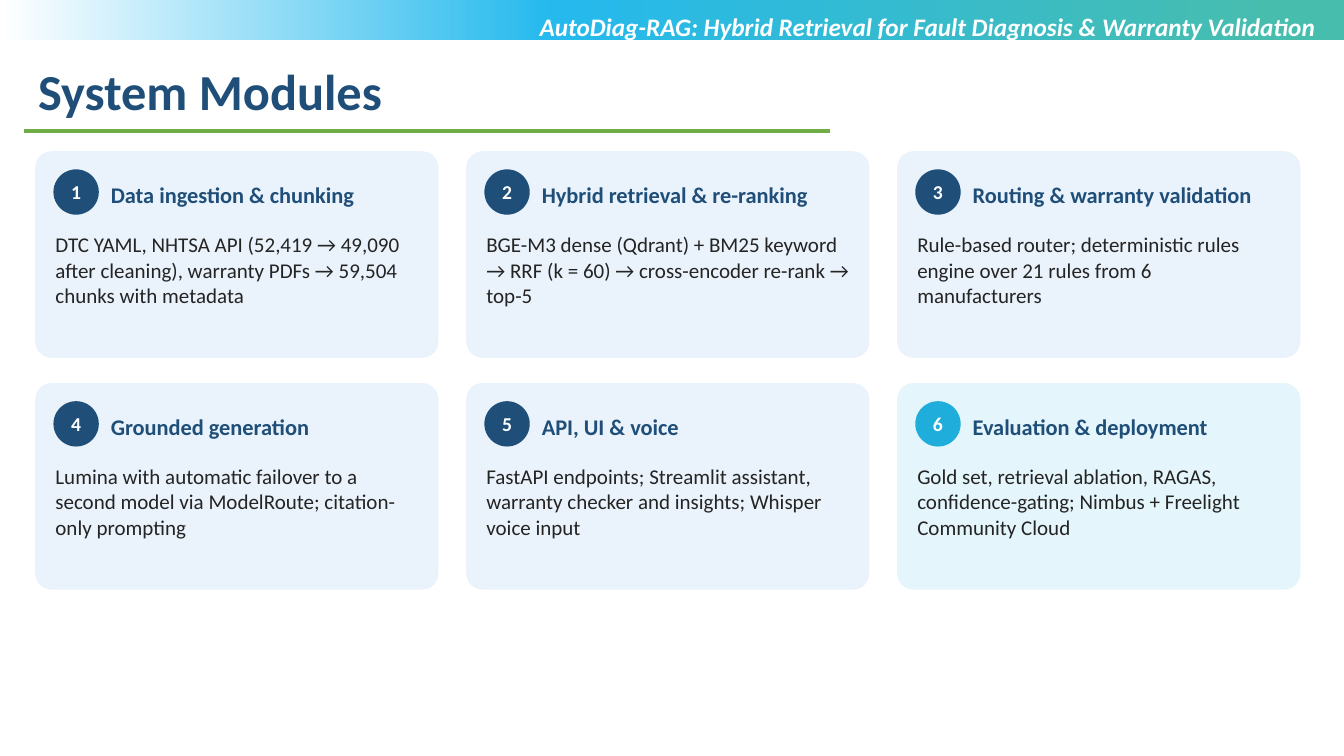
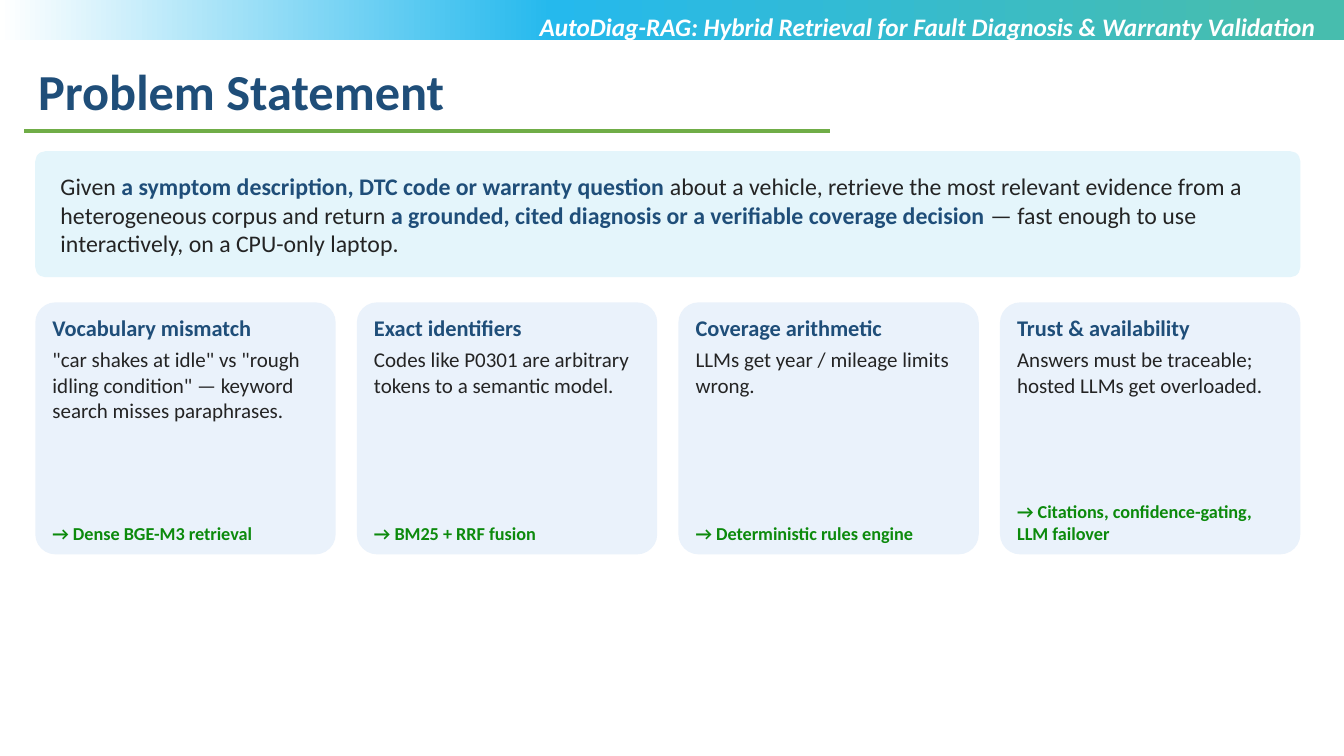
from lxml.etree import SubElement
from pptx import Presentation
from pptx.dml.color import RGBColor
from pptx.enum.shapes import MSO_CONNECTOR as LINE, MSO_SHAPE as SHAPE
from pptx.enum.text import MSO_ANCHOR as ANCHOR, PP_ALIGN as ALIGN
from pptx.oxml.ns import qn
from pptx.util import Inches, Pt

# Slide grid and the area that holds the cards
COLS, ROWS = 133.33, 75
LEFT, WIDTH, TOP = 3.5, 125.5, 15

# Shared colours
NAVY, INK, WHITE = "1F4E79", "242424", "FFFFFF"
PALE, ICE, CYAN = "EAF2FB", "E4F5FB", "1FAEDB"
RULE, GREEN = "70AD47", "0C8A0C"
BAND = [(5, "47BDAE"), (59, "25B9ED"), (100, WHITE)]
FONT = "Calibri"
TOPIC = "AutoDiag-RAG: Hybrid Retrieval for Fault Diagnosis & Warranty Validation"

MODULES = [
    ("Data ingestion & chunking",
     "DTC YAML, NHTSA API (52,419 → 49,090 after cleaning), "
     "warranty PDFs → 59,504 chunks with metadata"),
    ("Hybrid retrieval & re-ranking",
     "BGE-M3 dense (Qdrant) + BM25 keyword → RRF (k = 60) "
     "→ cross-encoder re-rank → top-5"),
    ("Routing & warranty validation",
     "Rule-based router; deterministic rules engine over 21 rules "
     "from 6 manufacturers"),
    ("Grounded generation",
     "Lumina with automatic failover to a second model via ModelRoute; "
     "citation-only prompting"),
    ("API, UI & voice",
     "FastAPI endpoints; Streamlit assistant, warranty checker and "
     "insights; Whisper voice input"),
    ("Evaluation & deployment",
     "Gold set, retrieval ablation, RAGAS, confidence-gating; "
     "Nimbus + Freelight Community Cloud"),
]

# Asterisks enclose the stressed phrases
TASK = ("Given *a symptom description, DTC code or warranty question* about a "
        "vehicle, retrieve the most relevant evidence from a heterogeneous "
        "corpus and return *a grounded, cited diagnosis or a verifiable "
        "coverage decision* — fast enough to use interactively, on a "
        "CPU-only laptop.")

ISSUES = [
    ("Vocabulary mismatch",
     '"car shakes at idle" vs "rough idling condition" — keyword search '
     "misses paraphrases.",
     "→ Dense BGE-M3 retrieval"),
    ("Exact identifiers",
     "Codes like P0301 are arbitrary tokens to a semantic model.",
     "→ BM25 + RRF fusion"),
    ("Coverage arithmetic",
     "LLMs get year / mileage limits wrong.",
     "→ Deterministic rules engine"),
    ("Trust & availability",
     "Answers must be traceable; hosted LLMs get overloaded.",
     "→ Citations, confidence-gating, LLM failover"),
]


def rgb(code):
    return RGBColor.from_string(code)


def spread(count, gap):
    """Return the left edges and the width of equal columns."""
    wide = (WIDTH - gap * (count - 1)) / count
    return [LEFT + i * (wide + gap) for i in range(count)], wide


class Deck:
    def __init__(self):
        self.file = Presentation()
        self.file.slide_width = Inches(13.33)
        self.file.slide_height = Inches(7.5)
        self.slide = None

    def x(self, cols):
        return round(self.file.slide_width * cols / COLS)

    def y(self, rows):
        return round(self.file.slide_height * rows / ROWS)

    def box(self, left, top, wide, high):
        return self.x(left), self.y(top), self.x(wide), self.y(high)

    def page(self, title):
        """Start a slide with its band, title, rule and topic."""
        self.slide = self.file.slides.add_slide(self.file.slide_layouts[6])
        self.band()
        self.text((2.8, 5.5, 116.2, 7.1), [(title, 36, NAVY, True)],
                  pad=True, after=0)
        self.rule(2.4, 82.3, 13)
        topic = self.text((31, 0.6, 100.5, 7.1), [(TOPIC, 18, WHITE, True)],
                          pad=True, align=ALIGN.RIGHT, after=0)
        topic.text_frame.paragraphs[0].font.italic = True

    def band(self):
        band = self.shape(SHAPE.RECTANGLE, (0, 0, COLS, 4), WHITE)
        band.fill.gradient()
        band.fill.gradient_angle = 180
        stops = band._element.spPr.find(qn("a:gradFill")).find(qn("a:gsLst"))
        stops.clear()
        for share, code in BAND:
            stop = SubElement(stops, qn("a:gs"), pos=str(share * 1000))
            SubElement(stop, qn("a:srgbClr"), val=code)

    def rule(self, start, end, row):
        line = self.slide.shapes.add_connector(
            LINE.STRAIGHT, self.x(start), self.y(row), self.x(end), self.y(row))
        line.line.color.rgb = rgb(RULE)
        line.line.width = Pt(2.25)
        SubElement(line._element.spPr, qn("a:effectLst"))

    def shape(self, kind, area, fill):
        shape = self.slide.shapes.add_shape(kind, *self.box(*area))
        shape.shadow.inherit = False
        shape.fill.solid()
        shape.fill.fore_color.rgb = rgb(fill)
        shape.line.fill.background()
        return shape

    def card(self, area, fill=PALE):
        self.shape(SHAPE.ROUNDED_RECTANGLE, area, fill).adjustments[0] = 0.08

    def badge(self, left, top, label, fill):
        disc = self.shape(SHAPE.OVAL, (left, top, 4.5, 4.5), fill)
        self.put(disc.text_frame, [(label, 14, WHITE, True)],
                 ANCHOR.MIDDLE, ALIGN.CENTER, after=0)

    def text(self, area, lines, anchor=ANCHOR.TOP, align=ALIGN.LEFT,
             pad=False, after=4):
        box = self.slide.shapes.add_textbox(*self.box(*area))
        self.put(box.text_frame, lines, anchor, align, pad, after)
        return box

    def put(self, frame, lines, anchor, align, pad=False, after=4):
        """Fill a frame with lines of (text, size, colour, bold)."""
        frame.word_wrap = True
        frame.vertical_anchor = anchor
        if not pad:
            frame.margin_left = frame.margin_right = 0
            frame.margin_top = frame.margin_bottom = 0
        for i, (words, size, code, bold) in enumerate(lines):
            para = frame.paragraphs[0] if i == 0 else frame.add_paragraph()
            para.alignment = align
            para.space_after = Pt(after)
            font = para.font
            font.name, font.size, font.bold = FONT, Pt(size), bold
            font.color.rgb = rgb(code)
            for j, part in enumerate(words.split("*")):
                run = para.add_run()
                run.text = part
                if j % 2:
                    run.font.bold = True
                    run.font.color.rgb = rgb(NAVY)


def modules_page(deck):
    deck.page("System Modules")
    edges, wide = spread(3, 2.75)
    for i, (head, body) in enumerate(MODULES):
        row, col = divmod(i, 3)
        left, top = edges[col], TOP + 23 * row
        last = i == len(MODULES) - 1
        deck.card((left, top, wide, 20.5), ICE if last else PALE)
        deck.badge(left + 1.8, top + 1.8, str(i + 1), CYAN if last else NAVY)
        deck.text((left + 7.5, top + 1.8, 31, 5), [(head, 16, NAVY, True)],
                  ANCHOR.MIDDLE)
        deck.text((left + 2, top + 8, wide - 4, 11.5),
                  [(body, 15, INK, False)])


def problem_page(deck):
    deck.page("Problem Statement")
    # Task
    deck.card((LEFT, TOP, WIDTH, 12.5), ICE)
    deck.text((LEFT + 2.5, TOP + 0.8, 121, 11), [(TASK, 17, INK, False)],
              ANCHOR.MIDDLE)
    # Issues, each with its answer
    edges, wide = spread(4, 2.1)
    top = TOP * 2
    for edge, (head, body, fix) in zip(edges, ISSUES):
        deck.card((edge, top, wide, 25))
        left, span = edge + 1.7, wide - 3.3
        deck.text((left, top + 1.2, span, 19),
                  [(head, 16, NAVY, True), (body, 15, INK, False)])
        deck.text((left, top + 17, span, 7), [(fix, 13, GREEN, True)],
                  ANCHOR.BOTTOM)


def main():
    deck = Deck()
    modules_page(deck)
    problem_page(deck)
    deck.file.save("out.pptx")


if __name__ == "__main__":
    main()
